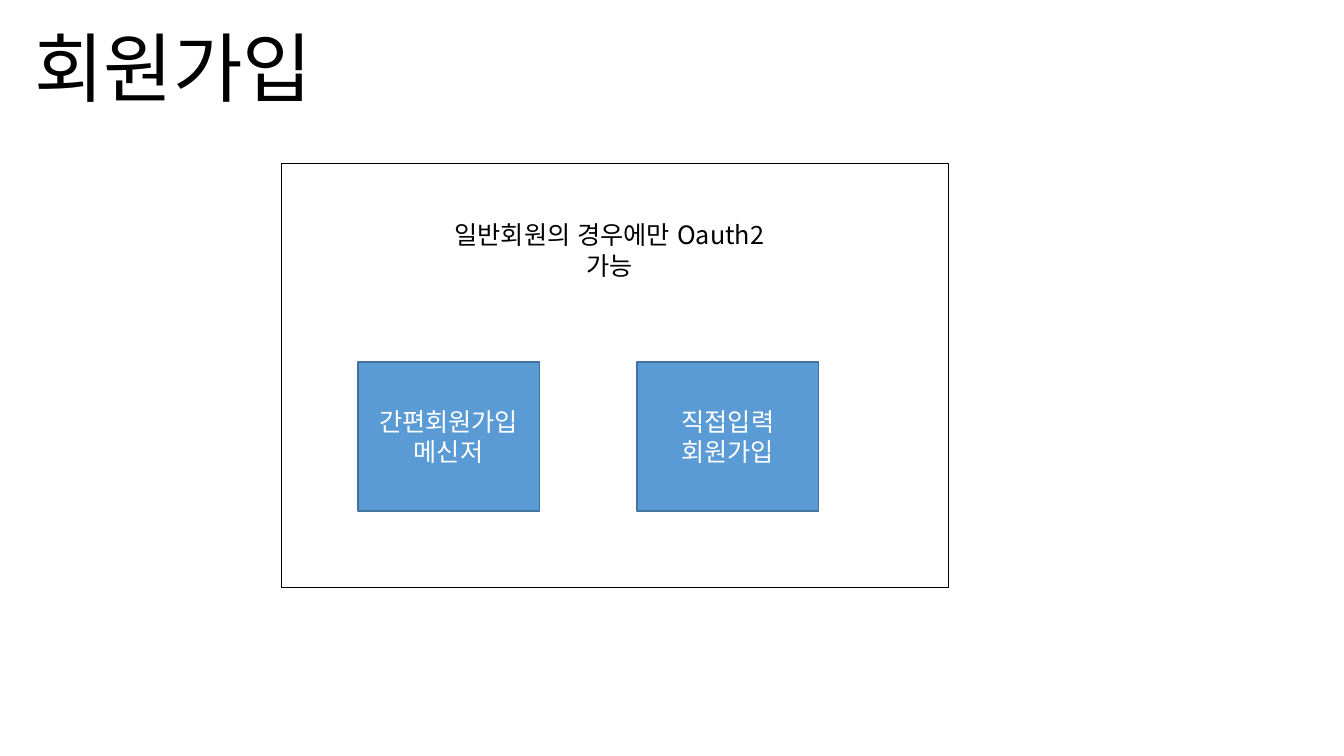
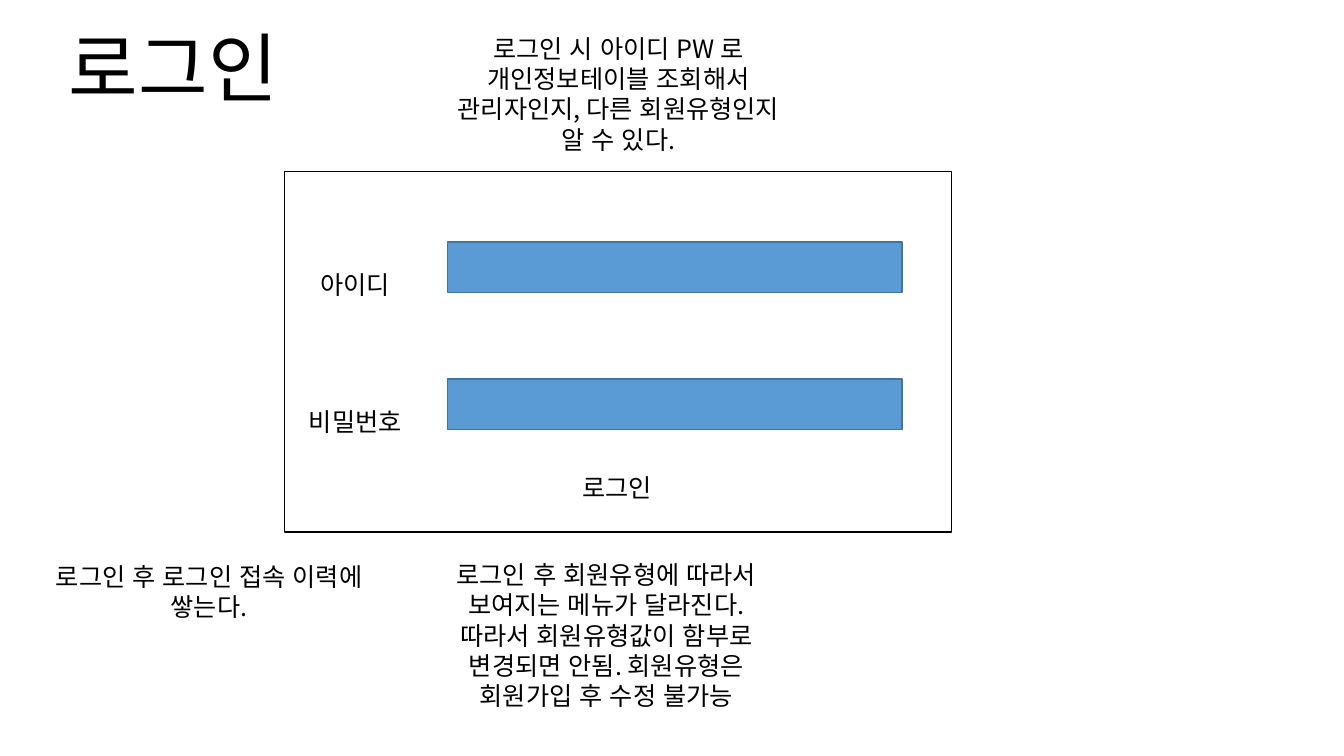
from dataclasses import dataclass

from pptx import Presentation
from pptx.dml.color import RGBColor
from pptx.enum.lang import MSO_LANGUAGE_ID
from pptx.enum.shapes import MSO_SHAPE
from pptx.enum.text import MSO_ANCHOR, MSO_AUTO_SIZE, PP_ALIGN
from pptx.oxml.ns import qn
from pptx.util import Inches, Pt
from lxml import etree

RECTANGLE = MSO_SHAPE.RECTANGLE
CENTER = PP_ALIGN.CENTER
MIDDLE = MSO_ANCHOR.MIDDLE
GROW = MSO_AUTO_SIZE.SHAPE_TO_FIT_TEXT
KOREAN = MSO_LANGUAGE_ID.KOREAN

# Grid: 160 columns by 90 rows
SLIDE_WIDTH, SLIDE_HEIGHT = Inches(13.33), Inches(7.5)
COLUMN, ROW = SLIDE_WIDTH / 160, SLIDE_HEIGHT / 90
TITLE_CENTER, TITLE_TOP, TITLE_HEIGHT = 20.64, 1.92, 12.12
FRAME_WIDTH, NOTE_WIDTH = 79.44, 43.56
ONE_LINE, TWO_LINES, FOUR_LINES, FIVE_LINES = 4.8, 8.52, 19.44, 23.04


@dataclass(frozen=True)
class Theme:
    font: str = "Noto Sans CJK KR"
    ink: RGBColor = RGBColor(0, 0, 0)
    paper: RGBColor = RGBColor(255, 255, 255)
    accent: RGBColor = RGBColor(0x5B, 0x9B, 0xD5)
    accent_edge: RGBColor = RGBColor(0x43, 0x73, 0x9E)
    title_size: int = 54
    body_size: int = 18
    line_width: int = 1


THEME = Theme()


def place(left, top, width, height):
    """Turn grid columns and rows into slide lengths."""
    return (round(left * COLUMN), round(top * ROW),
            round(width * COLUMN), round(height * ROW))


def write(box, text, size, color):
    """Put centred Korean text in a box."""
    para = box.text_frame.paragraphs[0]
    para.text = text
    para.alignment = CENTER
    for span in para.runs:
        font = span.font
        font.name, font.size = THEME.font, Pt(size)
        font.color.rgb = color
        font.language_id = KOREAN
        east_asian = etree.Element(qn("a:ea"), typeface=THEME.font)
        font._element.find(qn("a:latin")).addnext(east_asian)


def add_text(shapes, text, left, top, width, height,
             size=THEME.body_size, wrap=True):
    box = shapes.add_textbox(*place(left, top, width, height))
    box.text_frame.word_wrap = wrap
    box.text_frame.auto_size = GROW
    write(box, text, size, THEME.ink)


def add_title(shapes, text, width):
    add_text(shapes, text, TITLE_CENTER - width / 2, TITLE_TOP, width,
             TITLE_HEIGHT, THEME.title_size, wrap=False)


def add_note(shapes, text, left, top, height=ONE_LINE):
    add_text(shapes, text, left, top, NOTE_WIDTH, height)


def add_rectangle(shapes, left, top, width, height, fill, edge):
    box = shapes.add_shape(RECTANGLE, *place(left, top, width, height))
    box.shadow.inherit = False
    box.fill.solid()
    box.fill.fore_color.rgb = fill
    box.line.color.rgb = edge
    box.line.width = Pt(THEME.line_width)
    return box


def add_frame(shapes, left, top, height):
    add_rectangle(shapes, left, top, FRAME_WIDTH, height,
                  THEME.paper, THEME.ink)


def add_block(shapes, left, top, width, height, text=""):
    box = add_rectangle(shapes, left, top, width, height,
                        THEME.accent, THEME.accent_edge)
    if text:
        box.text_frame.word_wrap = True
        box.text_frame.vertical_anchor = MIDDLE
        write(box, text, THEME.body_size, THEME.paper)


def build_signup(page):
    shapes = page.shapes
    add_frame(shapes, 33.5, 19.44, 50.52)
    add_note(shapes, "일반회원의 경우에만 Oauth2 가능", 50.76, 25.56, TWO_LINES)
    add_title(shapes, "회원가입", 38.76)
    # Sign-up choices
    for index, choice in enumerate(("간편회원가입 메신저", "직접입력 회원가입")):
        add_block(shapes, 42.6 + index * 33.24, 43.08, 21.6, 17.76, choice)


def build_login(page):
    shapes = page.shapes
    add_title(shapes, "로그인", 29.64)

    # Login form
    form = shapes.add_group_shape().shapes
    add_frame(form, 33.84, 20.4, 42.96)
    add_note(form, "로그인", 51.72, 55.68)
    for index, label in enumerate(("아이디", "비밀번호")):
        offset = index * 16.32
        add_block(form, 53.28, 28.8 + offset, 54.12, 6)
        add_note(form, label, 20.52, 31.44 + offset)

    # Remarks around the form
    add_note(shapes, "로그인 후 로그인 접속 이력에 쌓는다.", 3.12, 66.24, TWO_LINES)
    add_note(shapes, "로그인 시 아이디 PW 로 개인정보테이블 조회해서 "
             "관리자인지, 다른 회원유형인지 알 수 있다.", 51.84, 3.36, FOUR_LINES)
    add_note(shapes, "로그인 후 회원유형에 따라서 보여지는 메뉴가 달라진다. "
             "따라서 회원유형값이 함부로 변경되면 안됨. "
             "회원유형은 회원가입 후 수정 불가능", 50.4, 66, FIVE_LINES)


def main():
    deck = Presentation()
    deck.slide_width, deck.slide_height = SLIDE_WIDTH, SLIDE_HEIGHT
    blank = deck.slide_layouts[6]
    for build in (build_signup, build_login):
        build(deck.slides.add_slide(blank))
    deck.save("out.pptx")


main()
